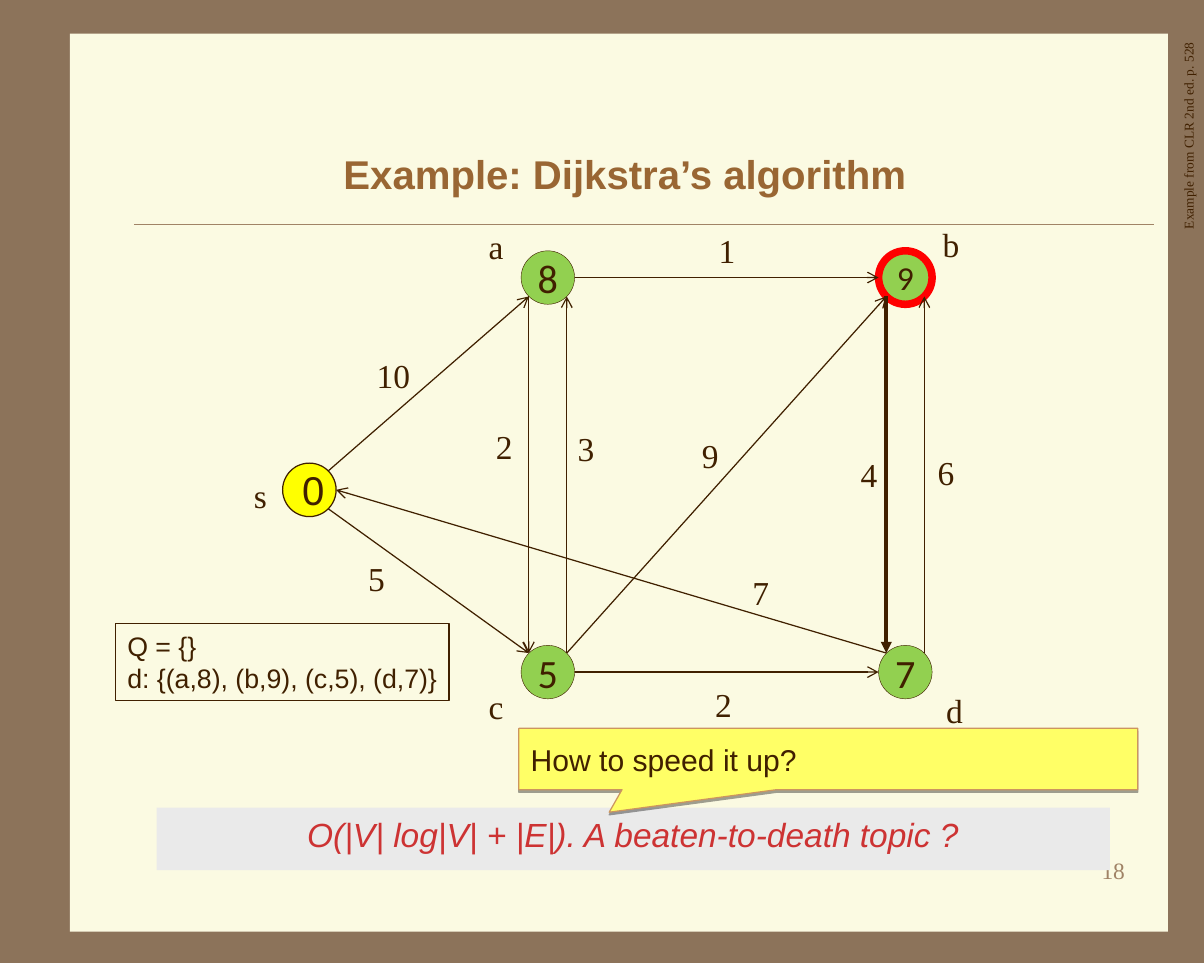
import pptx
import pptx.util
import pptx.dml.color
import pptx.enum.shapes
import pptx.enum.text
import pptx.oxml.ns
import lxml.etree

Pt = pptx.util.Pt
Shape = pptx.enum.shapes.MSO_SHAPE
Align = pptx.enum.text.PP_ALIGN
Anchor = pptx.enum.text.MSO_ANCHOR
qn = pptx.oxml.ns.qn

COLORS = {
    "frame": "8C735A", "paper": "FBFAE2", "rule": "A08366", "ink": "402000",
    "start": "FFFF00", "done": "92D050", "current": "FF0000", "title": "996633",
    "bar": "EAEAEA", "answer": "CD3333", "callout": "FFFF66",
    "callout_line": "CC955F", "shadow": "000000",
}
SERIF, SANS, DIGITS = "Times New Roman", "Arial", "Calibri"

# Content: graph on three columns and three rows
TITLE = "Example: Dijkstra’s algorithm"
SOURCE = "Example from CLR 2nd ed. p. 528"
STATE = "Q = {}\nd: {(a,8), (b,9), (c,5), (d,7)}"
QUESTION = "How to speed it up?"
ANSWER = "O(|V| log|V| + |E|). A beaten-to-death topic ?"
PAGE_NUMBER = "18"

RADIUS = 16
LEFT, MIDDLE, RIGHT = 185, 327.6, 541.4
TOP, CENTER, BOTTOM = 166, 293, 402
# name: (x, y, distance, fill, line colour, line width, font, size, left inset)
NODES = {
    "s": (LEFT, CENTER, "0", "start", "ink", 0.75, SANS, 24, 4.8),
    "a": (MIDDLE, TOP, "8", "done", "ink", 0.25, DIGITS, 24, 0),
    "c": (MIDDLE, BOTTOM, "5", "done", "ink", 0.25, DIGITS, 24, 0),
    "b": (RIGHT, TOP, "9", "done", "current", 4.5, DIGITS, 20, 0),
    "d": (RIGHT, BOTTOM, "7", "done", "ink", 0.25, DIGITS, 24, 0),
}
# Points on a circle's rim, in radii from its centre
DIAGONAL = 0.71
RIM = {
    "E": (1, 0), "W": (-1, 0),
    "NE": (DIAGONAL, -DIAGONAL), "NW": (-DIAGONAL, -DIAGONAL),
    "SE": (DIAGONAL, DIAGONAL), "SW": (-DIAGONAL, DIAGONAL),
}
# (from node, rim point, to node, rim point, line width, arrowhead)
EDGES = [
    ("s", "NE", "a", "SW", 0.75, "arrow"),
    ("s", "SE", "c", "NW", 0.75, "arrow"),
    ("a", "E", "b", "W", 0.75, "arrow"),
    ("c", "E", "d", "W", 0.75, "arrow"),
    ("c", "NE", "b", "SW", 0.75, "arrow"),
    ("d", "NW", "s", "E", 0.75, "arrow"),
    ("c", "NE", "a", "SE", 0.75, "arrow"),
    ("a", "SW", "c", "NW", 0.75, "arrow"),
    ("d", "NE", "b", "SE", 0.75, "arrow"),
    ("b", "SW", "d", "NW", 2.25, "triangle"),
]
# Node names and edge weights: (text, left, top)
LABELS = [
    ("s", 144.7, 280.8), ("a", 285.1, 131.8), ("b", 556.6, 130.3),
    ("c", 285.1, 406.8), ("d", 558.7, 409),
    ("10", 218.2, 208.8), ("5", 213.1, 330.5), ("2", 289.4, 251.3),
    ("3", 338.4, 252.7), ("1", 422.6, 133.9), ("9", 412.6, 257),
    ("7", 442.8, 338.4), ("2", 420.5, 405.4), ("4", 507.6, 267.8),
    ("6", 553.7, 267.1),
]


def rgb(name):
    return pptx.dml.color.RGBColor.from_string(COLORS[name])


def write(shape, text, font, size, color="ink", align=Align.LEFT,
          anchor=Anchor.TOP, insets=(7.2, 3.6, 7.2, 3.6), wrap=True,
          bold=False, italic=False):
    frame = shape.text_frame
    frame.text = text
    frame.word_wrap = wrap
    frame.vertical_anchor = anchor
    (frame.margin_left, frame.margin_top,
     frame.margin_right, frame.margin_bottom) = [Pt(inset) for inset in insets]
    for paragraph in frame.paragraphs:
        paragraph.alignment = align
        for run in paragraph.runs:
            run.font.name = font
            run.font.size = Pt(size)
            run.font.color.rgb = rgb(color)
            run.font.bold = bold
            run.font.italic = italic


def add_text(slide, box, text, font, size, **options):
    shape = slide.shapes.add_textbox(*[Pt(length) for length in box])
    write(shape, text, font, size, **options)
    return shape


def add_shape(slide, kind, box, fill=None, line=None, width=0.75):
    shape = slide.shapes.add_shape(kind, *[Pt(length) for length in box])
    shape.shadow.inherit = False
    if fill:
        shape.fill.solid()
        shape.fill.fore_color.rgb = rgb(fill)
    else:
        shape.fill.background()
    if line:
        shape.line.color.rgb = rgb(line)
        shape.line.width = Pt(width)
    else:
        shape.line.fill.background()
    return shape


def add_line(slide, start, end, color, width, head=None):
    line = slide.shapes.add_connector(
        pptx.enum.shapes.MSO_CONNECTOR.STRAIGHT,
        *[Pt(length) for length in (*start, *end)])
    line.line.color.rgb = rgb(color)
    line.line.width = Pt(width)
    if head:
        lxml.etree.SubElement(line.line._get_or_add_ln(), qn("a:tailEnd"), type=head)
    lxml.etree.SubElement(line._element.spPr, qn("a:effectLst"))


def add_drop_shadow(shape):
    effects = shape._element.spPr.find(qn("a:effectLst"))
    shadow = lxml.etree.SubElement(
        effects, qn("a:outerShdw"), blurRad="0", dist=str(Pt(1.6)),
        dir="5400000", rotWithShape="0")
    color = lxml.etree.SubElement(shadow, qn("a:srgbClr"), val=COLORS["shadow"])
    lxml.etree.SubElement(color, qn("a:alpha"), val="37000")


def rim_point(node, side):
    x, y = NODES[node][:2]
    across, down = RIM[side]
    return x + across * RADIUS, y + down * RADIUS


def main():
    presentation = pptx.Presentation()
    presentation.slide_width, presentation.slide_height = Pt(720), Pt(576)
    slide = presentation.slides.add_slide(presentation.slide_layouts[6])
    slide.background.fill.solid()
    slide.background.fill.fore_color.rgb = rgb("frame")

    # Paper, rule and page number
    add_shape(slide, Shape.RECTANGLE, (41.8, 20.2, 656.6, 537.1), "paper")
    add_line(slide, (80, 134.4), (690, 134.4), "rule", 0.25)
    add_text(slide, (530, 508.3, 149.8, 36), PAGE_NUMBER, SERIF, 14,
             color="rule", align=Align.RIGHT)

    # Graph
    for x, y, distance, fill, line, width, font, size, inset in NODES.values():
        circle = add_shape(slide, Shape.OVAL,
                           (x - RADIUS, y - RADIUS, 2 * RADIUS, 2 * RADIUS),
                           fill, line, width)
        write(circle, distance, font, size, align=Align.CENTER,
              anchor=Anchor.MIDDLE, insets=(inset, 0, 0, 0))
    for origin, exit_side, target, entry_side, width, head in EDGES:
        add_line(slide, rim_point(origin, exit_side),
                 rim_point(target, entry_side), "ink", width, head)
    for text, left, top in LABELS:
        add_text(slide, (left, top, 14.4 + 10 * len(text), 31.7), text, SERIF, 20,
                 wrap=False)

    # Queue and distances
    state = add_shape(slide, Shape.RECTANGLE, (69.1, 373, 199.4, 46.1), line="ink")
    write(state, STATE, SANS, 16, wrap=False)

    # Source and title
    source = add_text(slide, (601.9, 118.8, 218.2, 17.3), SOURCE, SERIF, 8,
                      align=Align.RIGHT)
    source.rotation = 270
    add_text(slide, (67.7, 72.7, 612, 62.6), TITLE, SANS, 24, color="title",
             align=Align.CENTER, anchor=Anchor.MIDDLE, bold=True)

    # Answer bar and question callout
    bar = add_shape(slide, Shape.RECTANGLE, (93.6, 483.1, 570.2, 37.4), "bar")
    write(bar, ANSWER, SANS, 20, color="answer", align=Align.CENTER, italic=True)
    callout = add_shape(slide, Shape.RECTANGULAR_CALLOUT, (310.3, 435.6, 370.1, 36.7),
                        "callout", "callout_line")
    callout.adjustments[0], callout.adjustments[1] = -0.354, 0.868
    add_drop_shadow(callout)
    write(callout, QUESTION, SANS, 18, anchor=Anchor.MIDDLE)

    presentation.save("out.pptx")


if __name__ == "__main__":
    main()
